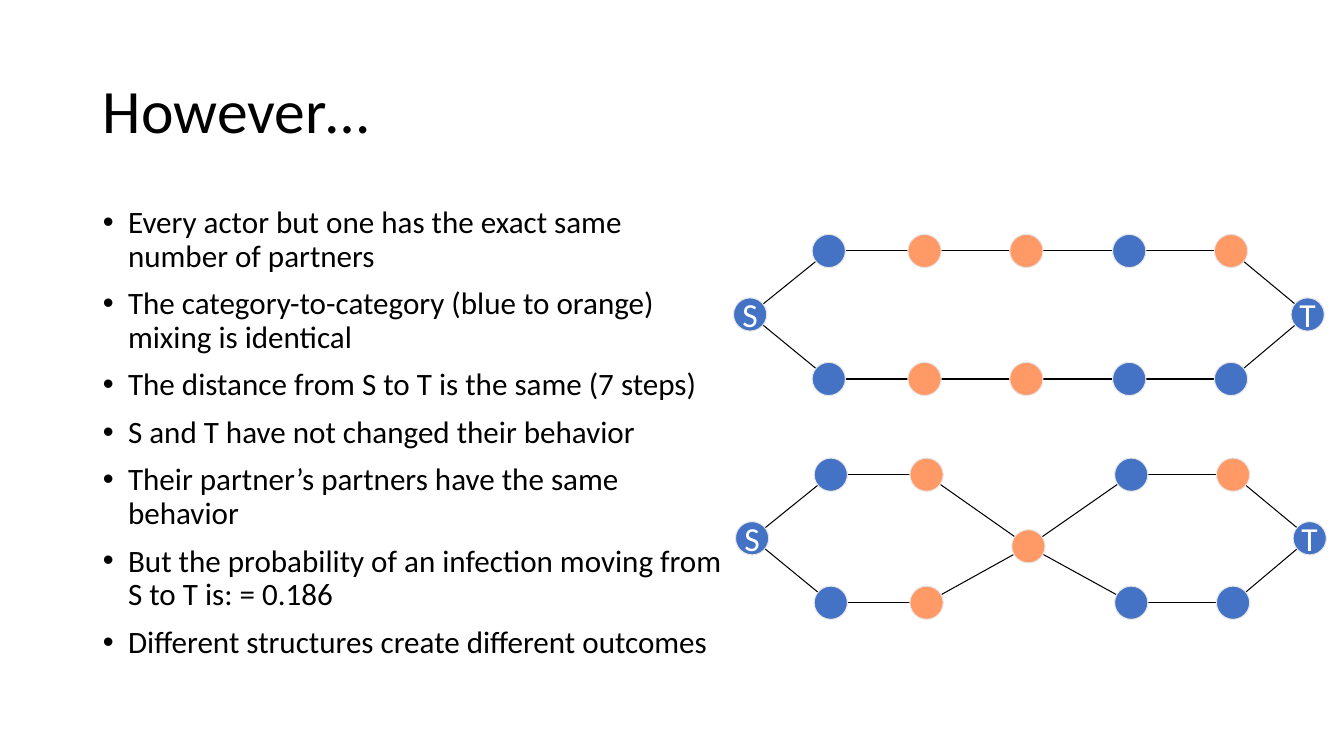
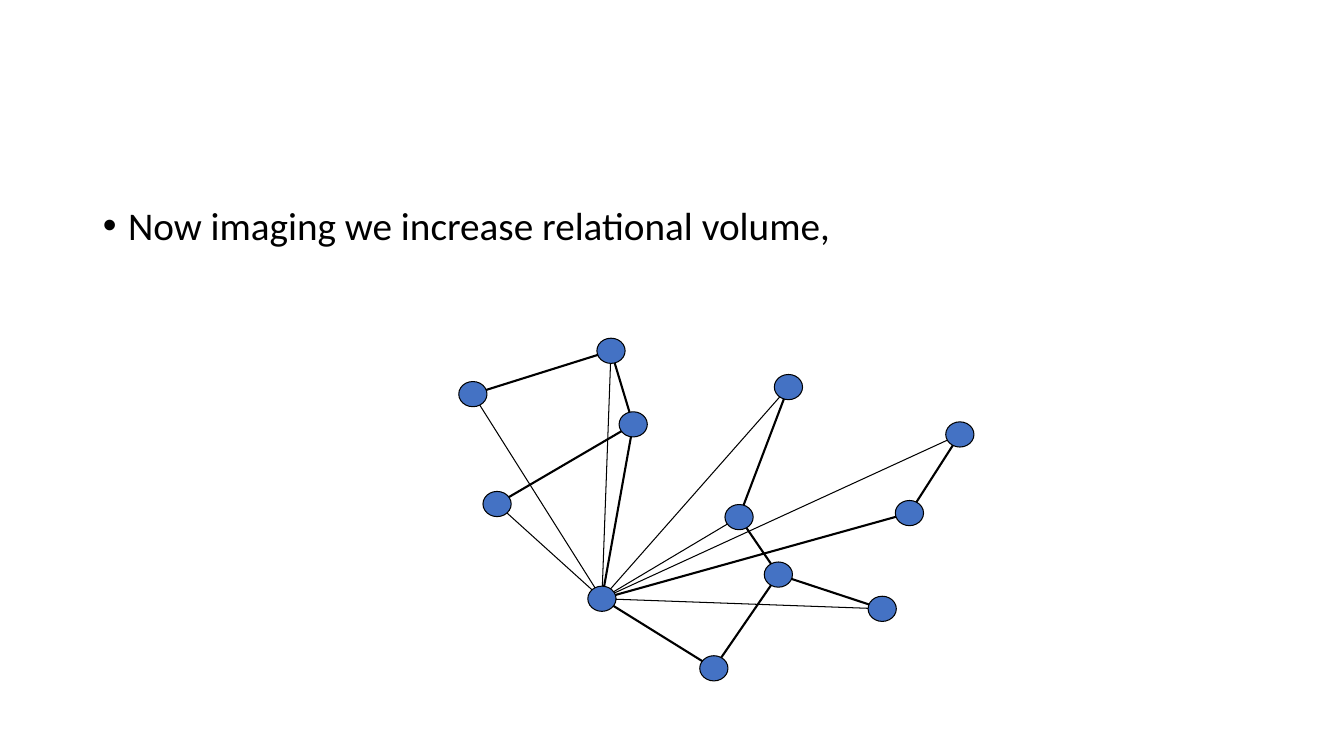
import itertools

import lxml.etree
import pptx
import pptx.dml.color
import pptx.enum.shapes
import pptx.enum.text
import pptx.oxml.ns
import pptx.util

Inches, Pt = pptx.util.Inches, pptx.util.Pt
RGBColor = pptx.dml.color.RGBColor
qn = pptx.oxml.ns.qn
PP_ALIGN = pptx.enum.text.PP_ALIGN
MSO_ANCHOR = pptx.enum.text.MSO_ANCHOR

BLACK = RGBColor(0x00, 0x00, 0x00)
WHITE = RGBColor(0xFF, 0xFF, 0xFF)
BLUE = RGBColor(0x44, 0x72, 0xC4)
ORANGE = RGBColor(0xFF, 0x99, 0x66)
PALE = RGBColor(0xE7, 0xE6, 0xE6)

TITLE_BOX = (0.92, 0.4, 11.5, 1.45)
THIN, THICK = 0.75, 1.5


def set_format(obj, values):
    for name, value in values.items():
        setattr(obj, name, value)


class Deck:
    """Holds the presentation, its style and the current slide."""

    font = "Calibri"
    frame = {"word_wrap": True, "auto_size": pptx.enum.text.MSO_AUTO_SIZE.NONE}
    title_format = {"alignment": PP_ALIGN.LEFT, "line_spacing": 0.9}
    list_format = {"line_spacing": 0.9, "space_before": Pt(10)}

    def __init__(self):
        self.prs = pptx.Presentation()
        set_format(self.prs, {"slide_width": Inches(13.33),
                              "slide_height": Inches(7.5)})

    def slide(self, title=None):
        self.s = self.prs.slides.add_slide(self.prs.slide_layouts[1])
        sp = self.s.shapes.title
        if title is None:
            sp.element.getparent().remove(sp.element)
            return
        tf = self.place(sp, TITLE_BOX)
        tf.vertical_anchor = MSO_ANCHOR.MIDDLE
        self.add_text(tf.paragraphs[0], title, 44, self.title_format)

    def place(self, sp, box):
        names = ("left", "top", "width", "height")
        set_format(sp, dict(zip(names, map(Inches, box))))
        set_format(sp.text_frame, self.frame)
        return sp.text_frame

    def add_text(self, p, text, size, values, color=BLACK):
        set_format(p, values)
        r = p.add_run()
        r.text = text
        set_format(r.font, {"name": self.font, "size": Pt(size)})
        r.font.color.rgb = color

    def bullets(self, items, box, size):
        tf = self.place(self.s.placeholders[1], box)
        for i, text in enumerate(items):
            p = tf.add_paragraph() if i else tf.paragraphs[0]
            pPr = p._p.get_or_add_pPr()
            pPr.set("marL", str(Inches(0.25)))
            pPr.set("indent", str(Inches(-0.25)))
            lxml.etree.SubElement(pPr, qn("a:buFont")).set("typeface", "Arial")
            lxml.etree.SubElement(pPr, qn("a:buChar")).set("char", "•")
            self.add_text(p, text, size, self.list_format)
            if i == 0:
                p.space_before = Pt(0)

    def edge(self, shapes, start, end, width):
        line = shapes.add_connector(
            pptx.enum.shapes.MSO_CONNECTOR.STRAIGHT,
            *map(Inches, (*start, *end)))
        line.line.color.rgb = BLACK
        line.line.width = Pt(width)
        lxml.etree.SubElement(line._element.spPr, qn("a:effectLst"))

    def node(self, shapes, center, size, fill, outline, label=""):
        (x, y), (w, h) = center, size
        sp = shapes.add_shape(
            pptx.enum.shapes.MSO_SHAPE.OVAL,
            *map(Inches, (x - w / 2, y - h / 2, w, h)))
        sp.shadow.inherit = False
        sp.fill.solid()
        sp.fill.fore_color.rgb = fill
        sp.line.color.rgb = outline
        sp.line.width = Pt(THIN)
        if label:
            set_format(sp.text_frame, {"word_wrap": False,
                                       "vertical_anchor": MSO_ANCHOR.MIDDLE})
            self.add_text(sp.text_frame.paragraphs[0], label, 24,
                          {"alignment": PP_ALIGN.CENTER}, WHITE)

    def network(self, nodes, edges, size, outline, orange=(), labels=()):
        """Edges run between node centres, behind the nodes."""
        shapes = self.s.shapes.add_group_shape().shapes
        for a, b, width in edges:
            self.edge(shapes, nodes[a], nodes[b], width)
        for name, center in nodes.items():
            self.node(shapes, center, size, ORANGE if name in orange else BLUE,
                      outline, name if name in labels else "")

    def two_paths(self, dx=0, dy=0, shared=False):
        """Two paths from S to T, optionally sharing the middle."""
        nodes = {"S": (7.44 + dx, 3.12 + dy), "T": (12.97 + dx, 3.12 + dy)}
        for row, y in (("a", 2.49), ("b", 3.76)):
            for i, x in enumerate((8.22, 9.17, 10.18, 11.2, 12.21), 1):
                nodes[f"{row}{i}"] = (x + dx, y + dy)
        paths = [["S", *(f"{row}{i}" for i in range(1, 6)), "T"]
                 for row in "ab"]
        if shared:
            del nodes["a3"], nodes["b3"]
            nodes["hub"] = (10.18 + dx, 3.2 + dy)
            for path_nodes in paths:
                path_nodes[3] = "hub"
        edges = [(a, b, THIN) for path_nodes in paths
                 for a, b in itertools.pairwise(path_nodes)]
        self.network(nodes, edges, (0.33, 0.33), PALE,
                     orange=("a2", "a3", "a5", "b2", "b3", "hub"), labels="ST")


def main():
    deck = Deck()

    # Slide 1: separate paths against paths that share one actor
    deck.slide("However…")
    deck.bullets([
        "Every actor but one has the exact same number of partners",
        "The category-to-category (blue to orange) mixing is identical",
        "The distance from S to T is the same (7 steps)",
        "S and T have not changed their behavior",
        "Their partner’s partners have the same behavior",
        "But the probability of an infection moving from S to T is: = 0.186",
        "Different structures create different outcomes",
    ], (0.92, 2, 6.36, 4.76), 22.2)
    deck.two_paths()
    deck.two_paths(dx=0.02, dy=2.22, shared=True)

    # Slide 2: a hub tied to most of the network
    deck.slide()
    deck.bullets(["Now imaging we increase relational volume,"],
                 (0.92, 2, 11.5, 4.76), 28)
    nodes = {
        "hub": (5.97, 5.94), "A": (4.69, 3.91), "B": (6.06, 3.48),
        "C": (4.93, 5), "D": (6.28, 4.21), "E": (7.33, 5.13),
        "F": (7.82, 3.84), "G": (7.72, 5.7), "H": (7.08, 6.63),
        "I": (9.02, 5.09), "J": (9.52, 4.31), "K": (8.75, 6.04),
    }
    weak = [("hub", name, THIN) for name in "KJCABEF"]
    strong = [(a, b, THICK) for a, b in (
        "AB", "EF", "JI", "DC", "GK", "BD", "HG", "GE",
        ("hub", "H"), ("hub", "I"), ("hub", "D"))]
    deck.network(nodes, weak + strong, (0.28, 0.25), BLACK)

    deck.prs.save("out.pptx")


if __name__ == "__main__":
    main()
